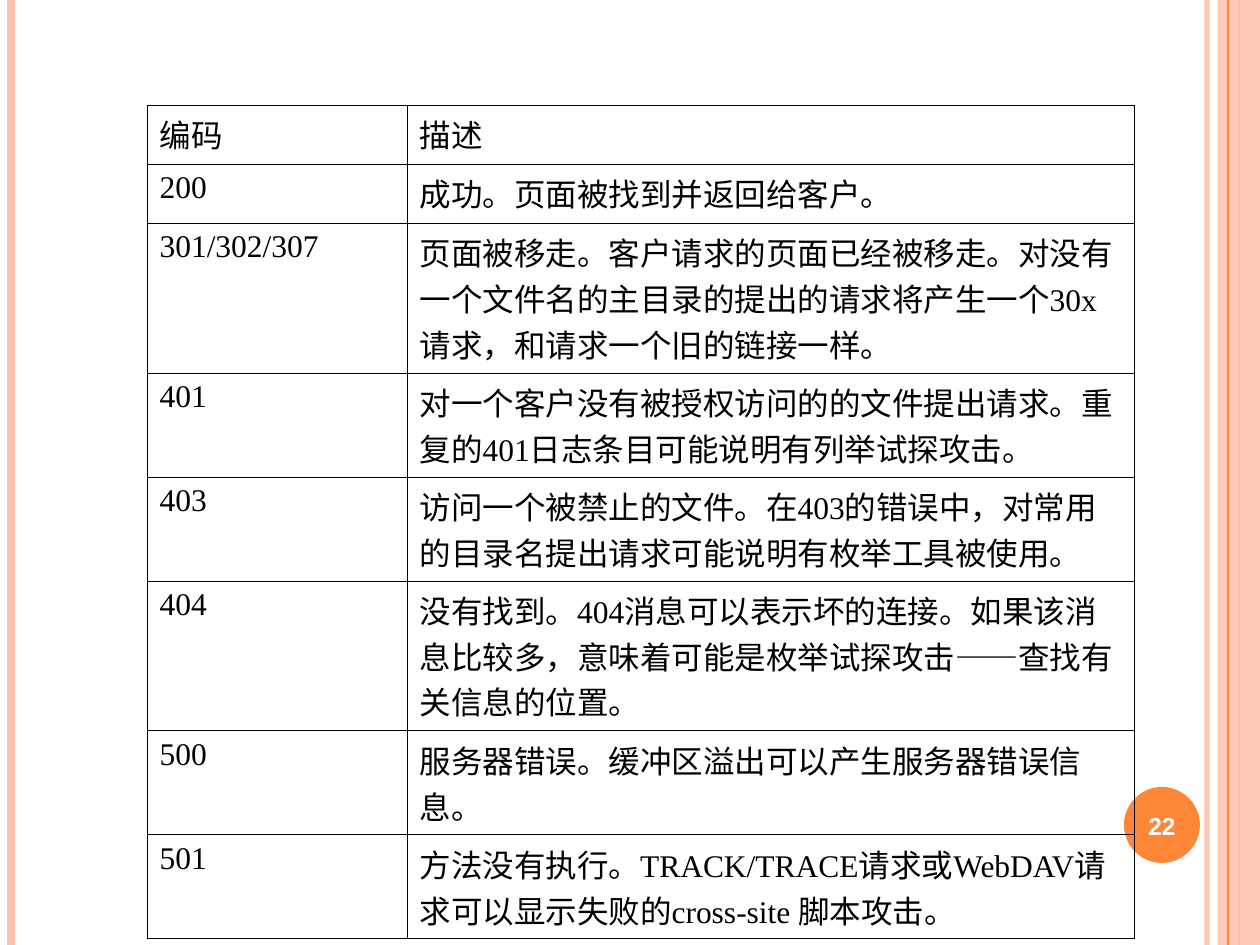
from lxml.etree import SubElement
from pptx import Presentation
from pptx.dml.color import RGBColor
from pptx.enum.shapes import MSO_CONNECTOR, MSO_SHAPE
from pptx.enum.text import MSO_ANCHOR, PP_ALIGN
from pptx.oxml.ns import qn
from pptx.util import Emu, Pt

PEACH = RGBColor(0xFE, 0xC3, 0xAE)
ORANGE = RGBColor(0xFE, 0x86, 0x37)
WHITE = RGBColor(0xFF, 0xFF, 0xFF)
BLACK = RGBColor(0, 0, 0)
WIDE, HIGH = 1260, 945
ONE, TWO, THREE = 59, 104, 150

ROWS = [
    (ONE, "编码", "描述"),
    (ONE, "200", "成功。页面被找到并返回给客户。"),
    (THREE, "301/302/307", "页面被移走。客户请求的页面已经被移走。对没有一个文件名的主目录的提出的请求将产生一个30x请求，和请求一个旧的链接一样。"),
    (TWO, "401", "对一个客户没有被授权访问的的文件提出请求。重复的401日志条目可能说明有列举试探攻击。"),
    (TWO, "403", "访问一个被禁止的文件。在403的错误中，对常用的目录名提出请求可能说明有枚举工具被使用。"),
    (THREE, "404", "没有找到。404消息可以表示坏的连接。如果该消息比较多，意味着可能是枚举试探攻击——查找有关信息的位置。"),
    (TWO, "500", "服务器错误。缓冲区溢出可以产生服务器错误信息。"),
    (TWO, "501", "方法没有执行。TRACK/TRACE请求或WebDAV请求可以显示失败的cross-site 脚本攻击。"),
]


def px(num):
    return Emu(round(num * 914400 / WIDE * 10))


def write(frame, text, font="Times New Roman", size=18, color=BLACK,
          bold=False, align=PP_ALIGN.LEFT):
    frame.word_wrap = True
    para = frame.paragraphs[0]
    para.alignment = align
    para._p.get_or_add_pPr().set("hangingPunct", "0")
    run = para.add_run()
    run.text = text
    run.font.name = font
    run.font.size = Pt(size)
    run.font.bold = bold
    run.font.color.rgb = color


def fade(fill, alpha):
    tint = fill._xPr.find(qn("a:solidFill"))[0]
    SubElement(tint, qn("a:alpha"), val=str(alpha * 1000))


class Deck:
    def __init__(self):
        self.prs = Presentation()
        self.prs.slide_width = px(WIDE)
        self.prs.slide_height = px(HIGH)
        self.slide = self.prs.slides.add_slide(self.prs.slide_layouts[6])
        self.shapes = self.slide.shapes

    def line(self, x, color, width, alpha=100):
        line = self.shapes.add_connector(
            MSO_CONNECTOR.STRAIGHT, px(x), 0, px(x), px(HIGH))
        line.line.color.rgb = color
        line.line.width = Pt(width)
        if alpha < 100:
            fade(line.line.fill, alpha)
        SubElement(line._element.spPr, qn("a:effectLst"))

    def shape(self, kind, box, color, alpha=100):
        shape = self.shapes.add_shape(kind, *map(px, box))
        shape.shadow.inherit = False
        shape.fill.solid()
        shape.fill.fore_color.rgb = color
        shape.line.fill.background()
        if alpha < 100:
            fade(shape.fill, alpha)

    def text(self, box, text, **style):
        frame = self.shapes.add_textbox(*map(px, box)).text_frame
        frame.vertical_anchor = MSO_ANCHOR.MIDDLE
        write(frame, text, **style)

    def table(self, left, top, cols, rows):
        high = sum(row[0] for row in rows)
        box = (left, top, sum(cols), high)
        table = self.shapes.add_table(
            len(rows), len(cols), *map(px, box)).table
        table.first_row = False
        table.horz_banding = False
        for col, width in zip(table.columns, cols):
            col.width = px(width)
        for row, (height, *words) in zip(table.rows, rows):
            row.height = px(height)
            for cell, word in zip(row.cells, words):
                self.border(cell)
                cell.fill.background()
                write(cell.text_frame, word)

    def border(self, cell):
        props = cell._tc.get_or_add_tcPr()
        for side in ("lnL", "lnR", "lnT", "lnB"):
            edge = SubElement(props, qn("a:" + side), w=str(Pt(0.45)))
            fill = SubElement(edge, qn("a:solidFill"))
            SubElement(fill, qn("a:srgbClr"), val=str(BLACK))


def main():
    deck = Deck()
    deck.line(1207, PEACH, 3, alpha=93)
    deck.line(11, PEACH, 4.5)
    deck.line(1239, ORANGE, 1.5)
    deck.shape(MSO_SHAPE.RECTANGLE, (1218, 0, 42, HIGH), PEACH, alpha=87)
    deck.line(1228, ORANGE, 0.75)
    deck.shape(MSO_SHAPE.OVAL, (1124, 787, 76, 76), ORANGE)
    deck.text((1120, 790, 84, 72), "22", font="Arial", size=14,
              color=WHITE, bold=True, align=PP_ALIGN.CENTER)
    deck.table(147, 105, (260, 727), ROWS)
    deck.prs.save("out.pptx")


if __name__ == "__main__":
    main()
